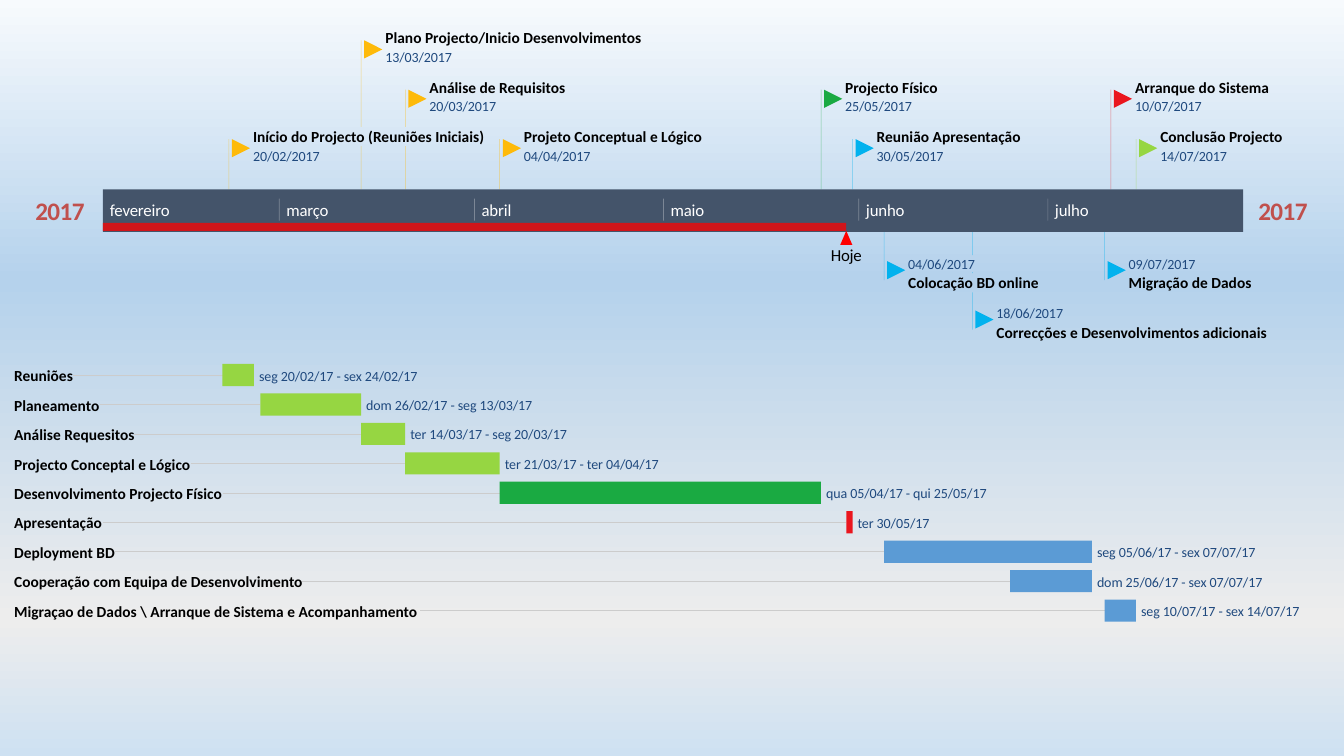
from collections import namedtuple
from lxml import etree
from pptx import Presentation, util as u
from pptx.dml.color import RGBColor
from pptx.enum import shapes as es, text as et
from pptx.oxml.ns import qn

Box = namedtuple("Box", "x y w h")
Type = namedtuple("Type", "size color bold space")


class Theme:
    """Colours and type sizes."""
    font = "Calibri"
    sky = [(0, "F7FAFD"), (37, "B5D2EC"), (82, "EDEDED"), (100, "CEE1F2")]
    band, past, grid, white = "44546A", "FF0000", "CCCCCC", "FFFFFF"
    gold, green, cyan, red = "FEBA0A", "1AAA42", "02B2EE", "EA161E"
    lime, blue = "96D642", "5B9BD5"
    year = Type(18, "C0504D", True, -40)
    month = Type(12, white, False, -10)
    now = Type(12, "000000", False, -20)
    title = Type(11, "000000", True, 0)
    date = Type(10, "1F497E", False, -5)


T = Theme
COLS, ROWS = 13.33, 7.5           # slide grid
CELL = u.Inches(1)
SPAN = Box(1.02, 1.88, 11.31, 0.42)  # time band
DAYS = 181
STEP = 0.49                       # gap between flag rows
START = {2: 0, 3: 28, 4: 59, 5: 89, 6: 120, 7: 150}
MONTHS = ["fevereiro", "março", "abril", "maio", "junho", "julho"]
NOW = "29/05/2017"

# title, date, row, colour, title width
UPPER = [
    ("Início do Projecto (Reuniões Iniciais)", "20/02/2017", 2, T.gold, 2.29),
    ("Plano Projecto/Inicio Desenvolvimentos", "13/03/2017", 0, T.gold, 2.54),
    ("Análise de Requisitos", "20/03/2017", 1, T.gold, 1.35),
    ("Projeto Conceptual e Lógico", "04/04/2017", 2, T.gold, 1.76),
    ("Projecto Físico", "25/05/2017", 1, T.green, 0.92),
    ("Reunião Apresentação", "30/05/2017", 2, T.cyan, 1.43),
    ("Arranque do Sistema", "10/07/2017", 1, T.red, 1.33),
    ("Conclusão Projecto", "14/07/2017", 2, T.lime, 1.22),
]
LOWER = [
    ("Colocação BD online", "04/06/2017", 0, T.cyan, 1.29),
    ("Correcções e Desenvolvimentos adicionais", "18/06/2017", 1, T.cyan, 2.68),
    ("Migração de Dados", "09/07/2017", 0, T.cyan, 1.22),
]
# task, dates, colour, task width
TASKS = [
    ("Reuniões", "seg 20/02/17 - sex 24/02/17", T.lime, 0.58),
    ("Planeamento", "dom 26/02/17 - seg 13/03/17", T.lime, 0.85),
    ("Análise Requesitos", "ter 14/03/17 - seg 20/03/17", T.lime, 1.19),
    ("Projecto Conceptal e Lógico", "ter 21/03/17 - ter 04/04/17", T.lime, 1.75),
    ("Desenvolvimento Projecto Físico", "qua 05/04/17 - qui 25/05/17",
     T.green, 2.07),
    ("Apresentação", "ter 30/05/17", T.red, 0.88),
    ("Deployment BD", "seg 05/06/17 - sex 07/07/17", T.blue, 1.0),
    ("Cooperação com Equipa de Desenvolvimento",
     "dom 25/06/17 - sex 07/07/17", T.blue, 2.86),
    ("Migraçao de Dados \\ Arranque de Sistema e Acompanhamento",
     "seg 10/07/17 - sex 14/07/17", T.blue, 4.03),
]


def emu(*vals):
    """Turn grid units into slide lengths."""
    return [int(v * CELL) for v in vals]


def when(date, end=True):
    """Column of the end (or start) of a day on the time band."""
    day, month = [int(n) for n in date.split("/")[:2]]
    return SPAN.x + (START[month] + day - 1 + end) * SPAN.w / DAYS


def fade(item, alpha):
    """Make the colours of an item partly clear."""
    for clr in item.element.iter(qn("a:srgbClr")):
        etree.SubElement(clr, qn("a:alpha")).set("val", str(alpha * 1000))


def rule(slide, x1, y1, x2, y2, color, width=0.38, alpha=100):
    """Draw a straight thin line."""
    line = slide.shapes.add_connector(
        es.MSO_CONNECTOR.STRAIGHT, *emu(x1, y1, x2, y2))
    line.line.color.rgb = RGBColor.from_string(color)
    line.line.width = u.Pt(width)
    etree.SubElement(line.element.spPr, qn("a:effectLst"))
    if alpha < 100:
        fade(line, alpha)


def block(slide, box, color, kind=es.MSO_SHAPE.RECTANGLE, turn=0):
    """Draw a plain filled shape."""
    item = slide.shapes.add_shape(kind, *emu(*box))
    item.shadow.inherit = False
    item.fill.solid()
    item.fill.fore_color.rgb = RGBColor.from_string(color)
    item.line.fill.background()
    item.rotation = turn
    return item


def write(slide, box, words, style, center=False):
    """Place one line of text."""
    frame = slide.shapes.add_textbox(*emu(*box)).text_frame
    frame.margin_left = frame.margin_right = 0
    frame.margin_top = frame.margin_bottom = 0
    frame.word_wrap = not center
    frame.vertical_anchor = et.MSO_ANCHOR.MIDDLE
    para = frame.paragraphs[0]
    para.text = words
    para.alignment = et.PP_ALIGN.CENTER if center else et.PP_ALIGN.LEFT
    font = para.runs[0].font
    font.name, font.size, font.bold = T.font, u.Pt(style.size), style.bold
    font.color.rgb = RGBColor.from_string(style.color)
    for props in para.runs[0]._r.iter(qn("a:rPr")):
        props.set("spc", str(style.space))


def sky(slide):
    """Fill the background with the theme gradient."""
    fill = slide.background.fill
    fill.gradient()
    fill.gradient_angle = 270
    stops = next(slide.element.iter(qn("a:gsLst")))
    for stop in list(stops):
        stops.remove(stop)
    for pos, color in T.sky:
        stop = etree.SubElement(stops, qn("a:gs"), pos=str(pos * 1000))
        etree.SubElement(stop, qn("a:srgbClr"), val=color)


def flags(slide, box, marks, above):
    """Place milestones in a box above or below the band."""
    name, date, tip = (0, 0.2, 0.12) if above else (0.18, 0, 0.06)
    spots = []
    for words, day, row, color, wide in marks:
        x, y = when(day), box.y + row * STEP
        spots.append((Box(x + 0.24, y + name, wide + 0.04, 0.19),
                      Box(x + 0.24, y + date, 0.7, 0.17)))
    labels = sorted((b for pair in spots for b in pair), key=lambda b: b.y)
    for words, day, row, color, wide in marks:
        x, y = when(day), box.y + row * STEP
        top, end = (y + tip, box.y + box.h) if above else (box.y - 0.24, y + 0.25)
        for lab in labels:
            if lab.x < x < lab.x + lab.w and top < lab.y < end:
                rule(slide, x, top, x, lab.y, color, alpha=50)
                top = lab.y + lab.h
        rule(slide, x, top, x, end, color, alpha=50)
    for (words, day, row, color, wide), (head, sub) in zip(marks, spots):
        write(slide, head, words, T.title)
        write(slide, sub, day, T.date)
        block(slide, Box(when(day) + 0.03, box.y + row * STEP + tip, 0.18, 0.18),
              color, es.MSO_SHAPE.FLOWCHART_MERGE, 270)


def band(slide, box):
    """Draw the time band with its years, months and today mark."""
    for x in (box.x - 0.67, box.x + box.w + 0.15):
        write(slide, Box(x, box.y + 0.05, 0.49, 0.31), "2017", T.year, True)
    block(slide, box, T.band)
    now, base = when(NOW), box.y + box.h
    fade(block(slide, Box(box.x, base - 0.09, now - box.x, 0.08), T.past), 75)
    block(slide, Box(now - 0.06, base - 0.01, 0.12, 0.14), T.past,
          es.MSO_SHAPE.ISOSCELES_TRIANGLE)
    write(slide, Box(now - 0.16, base + 0.13, 0.32, 0.2), "Hoje", T.now, True)
    for num, month in enumerate(MONTHS, 2):
        x = when(f"1/{num}", False)
        if num > 2:
            rule(slide, x, box.y + 0.09, x, box.y + 0.31, T.white, 0.5, 30)
        write(slide, Box(x + 0.07, box.y + 0.1, 0.65, 0.2), month, T.month)


def gantt(slide, box):
    """Draw the task rows with leaders, bars and dates."""
    pitch = box.h / len(TASKS)
    for num, (task, dates, color, wide) in enumerate(TASKS):
        y = box.y + num * pitch
        ends = [part.split()[1] for part in dates.split(" - ")]
        left, right = when(ends[0], False), when(ends[-1])
        rule(slide, box.x + wide, y + 0.11, left, y + 0.11, T.grid)
        block(slide, Box(left, y, right - left, 0.22), color)
        write(slide, Box(right + 0.05, y + 0.03, 0.063 * len(dates), 0.17),
              dates, T.date)
        write(slide, Box(box.x, y + 0.02, wide + 0.04, 0.19), task, T.title)


def main():
    """Build and save the slide."""
    deck = Presentation()
    deck.slide_width, deck.slide_height = emu(COLS, ROWS)
    slide = deck.slides.add_slide(deck.slide_layouts[6])
    sky(slide)
    gantt(slide, Box(0.14, 3.61, 12.8, 2.63))
    flags(slide, Box(SPAN.x, 0.28, SPAN.w, 1.6), UPPER, True)
    flags(slide, Box(SPAN.x, 2.53, SPAN.w, 0.9), LOWER, False)
    band(slide, SPAN)
    deck.save("out.pptx")


main()
